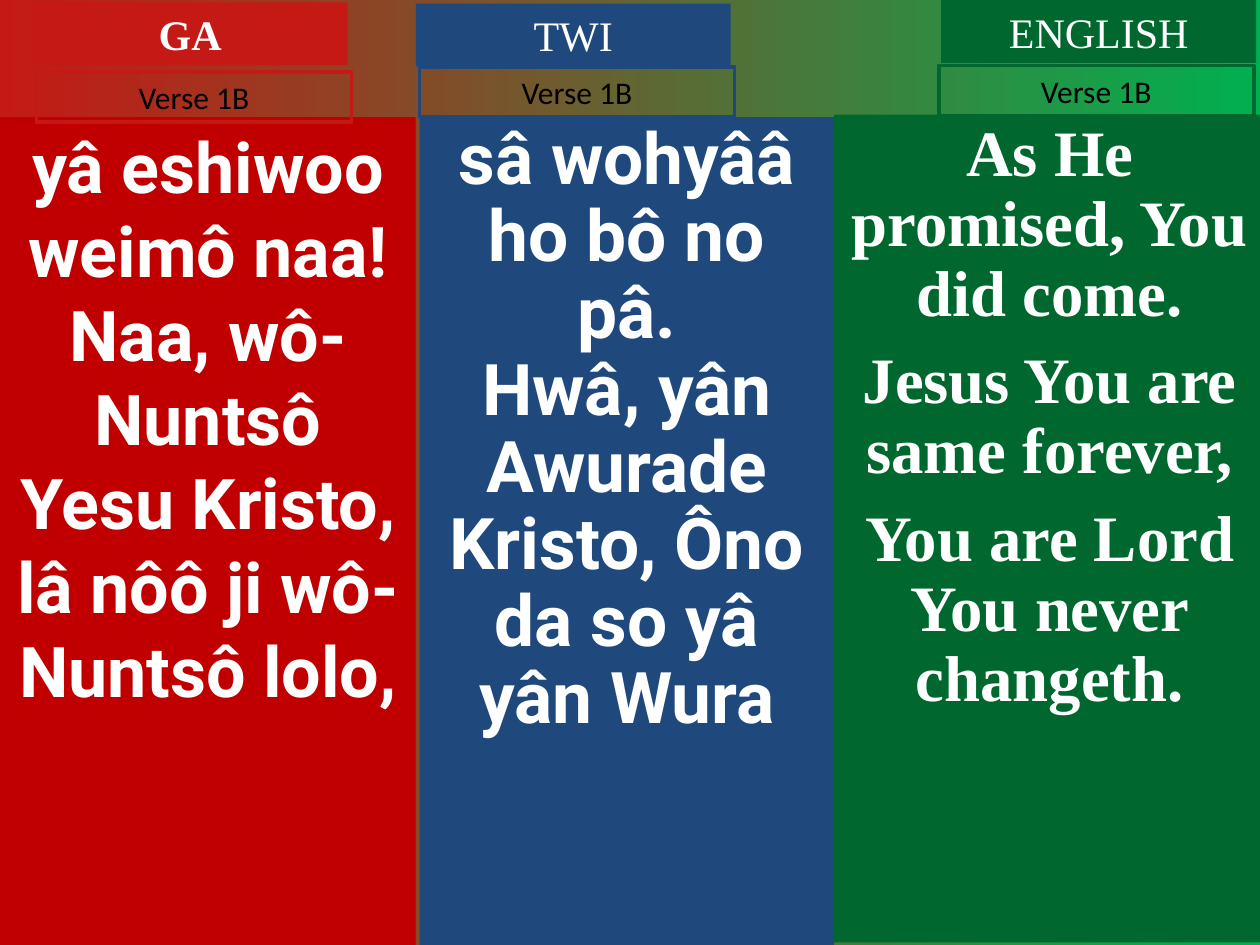
"""Build a hymn slide with the same verse in Ga, Twi and English columns."""
from pptx import Presentation
from pptx.dml.color import RGBColor
from pptx.enum.shapes import MSO_SHAPE
from pptx.enum.text import MSO_ANCHOR, PP_ALIGN
from pptx.util import Inches, Pt

RECTANGLE = MSO_SHAPE.RECTANGLE
TOP = MSO_ANCHOR.TOP
CENTER = PP_ALIGN.CENTER
SERIF = "Times New Roman"
WHITE = "FFFFFF"


def color(value):
    return RGBColor.from_string(value)


def add_text(lines, box, *, font, size, ink=WHITE, bold=False, fill=None,
             outline=None, spacing=1.0, gap=0):
    panel = slide.shapes.add_shape(RECTANGLE, *(Inches(n) for n in box))
    panel.shadow.inherit = False
    if fill:
        panel.fill.solid()
        panel.fill.fore_color.rgb = color(fill)
    else:
        panel.fill.background()
    if outline:
        panel.line.color.rgb = color(outline)
        panel.line.width = Pt(2.25)
    else:
        panel.line.fill.background()
    frame = panel.text_frame
    frame.word_wrap = True
    frame.vertical_anchor = TOP
    for index, line in enumerate(lines):
        paragraph = frame.paragraphs[0] if index == 0 else frame.add_paragraph()
        paragraph.alignment = CENTER
        paragraph.line_spacing = spacing
        paragraph.space_before = Pt(gap if index else 0)
        run = paragraph.add_run()
        run.text = line
        run.font.name = font
        run.font.size = Pt(size)
        run.font.bold = bold
        run.font.color.rgb = color(ink)


presentation = Presentation()
presentation.slide_width = Inches(10)
presentation.slide_height = Inches(7.5)
slide = presentation.slides.add_slide(presentation.slide_layouts[6])

backdrop = slide.background.fill
backdrop.gradient()
backdrop.gradient_angle = 0
for stop, (position, shade) in zip(backdrop.gradient_stops,
                                   [(0, "C51915"), (1, "00B050")]):
    stop.position = position
    stop.color.rgb = color(shade)

lyrics = [
    (["yâ eshiwoo weimô naa! Naa, wô-Nuntsô Yesu Kristo, "
      "lâ nôô ji wô-Nuntsô lolo,"],
     (0, 0.93, 3.3, 6.57), dict(fill="C00000", font="Roboto", size=40)),
    (["sâ wohyââ ho bô no pâ.",
      "Hwâ, yân Awurade Kristo, Ôno da so yâ yân Wura"],
     (3.33, 0.93, 3.29, 6.57),
     dict(fill="1F497D", font="Roboto", size=40.7, spacing=0.9)),
    (["As He promised, You did come.",
      "Jesus You are same forever,",
      "You are Lord You never changeth."],
     (6.62, 0.91, 3.42, 6.57),
     dict(fill="00682F", font=SERIF, size=37, spacing=0.9, gap=10)),
]
for verse, box, style in lyrics:
    add_text(verse, box, bold=True, **style)

headings = [
    ("GA", "C51915", True, (0.26, 0.02), (0.29, 0.57)),
    ("TWI", "1F497D", False, (3.3, 0.03), (3.33, 0.53)),
    ("ENGLISH", "00682F", False, (7.47, 0), (7.45, 0.52)),
]
for language, shade, bold, title_corner, verse_corner in headings:
    add_text([language], (*title_corner, 2.5, 0.5), font=SERIF, size=24,
             bold=bold, fill=shade)
    add_text(["Verse 1B"], (*verse_corner, 2.5, 0.4), font="Calibri", size=18,
             ink="000000", outline=shade)

presentation.save("out.pptx")
